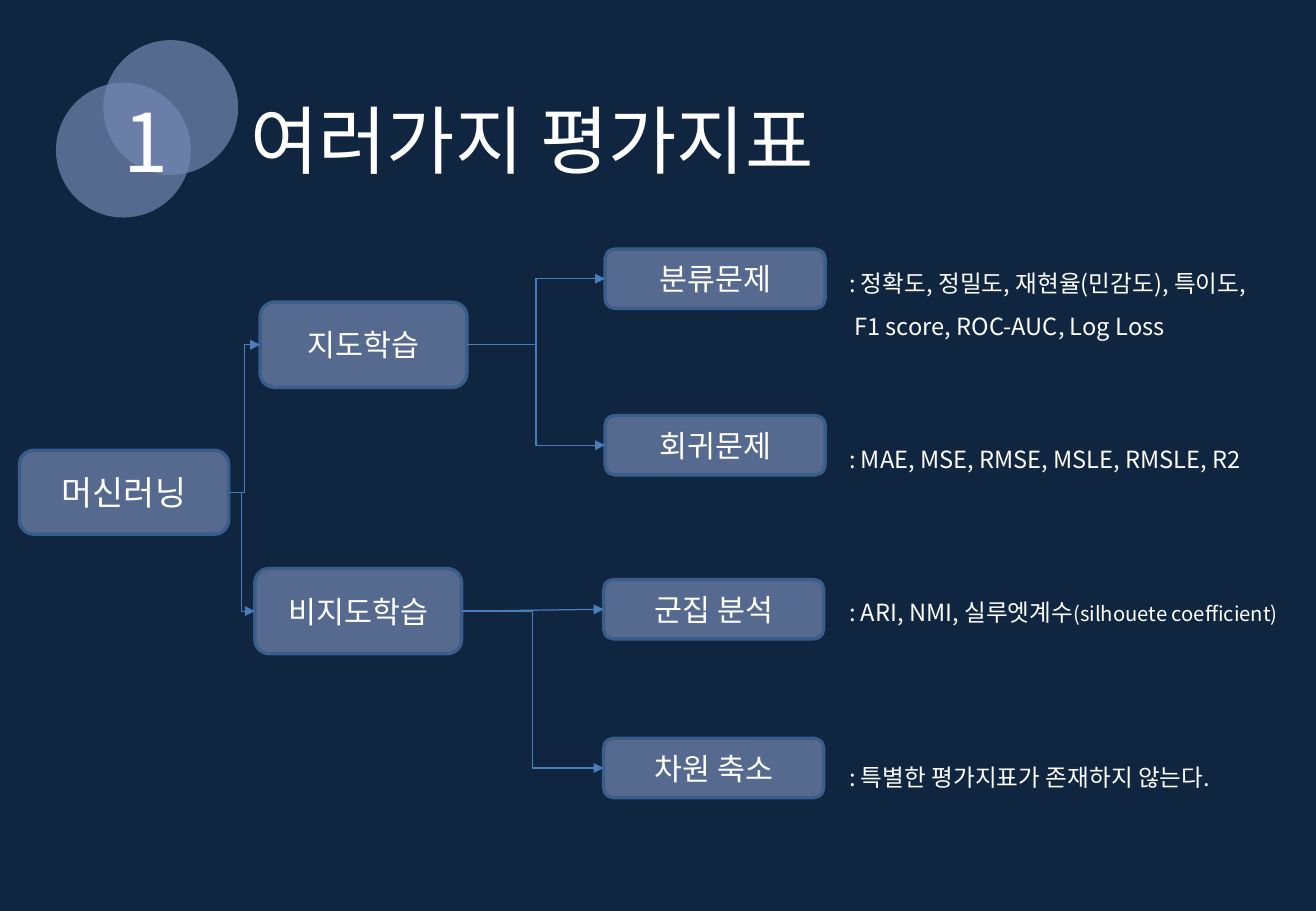
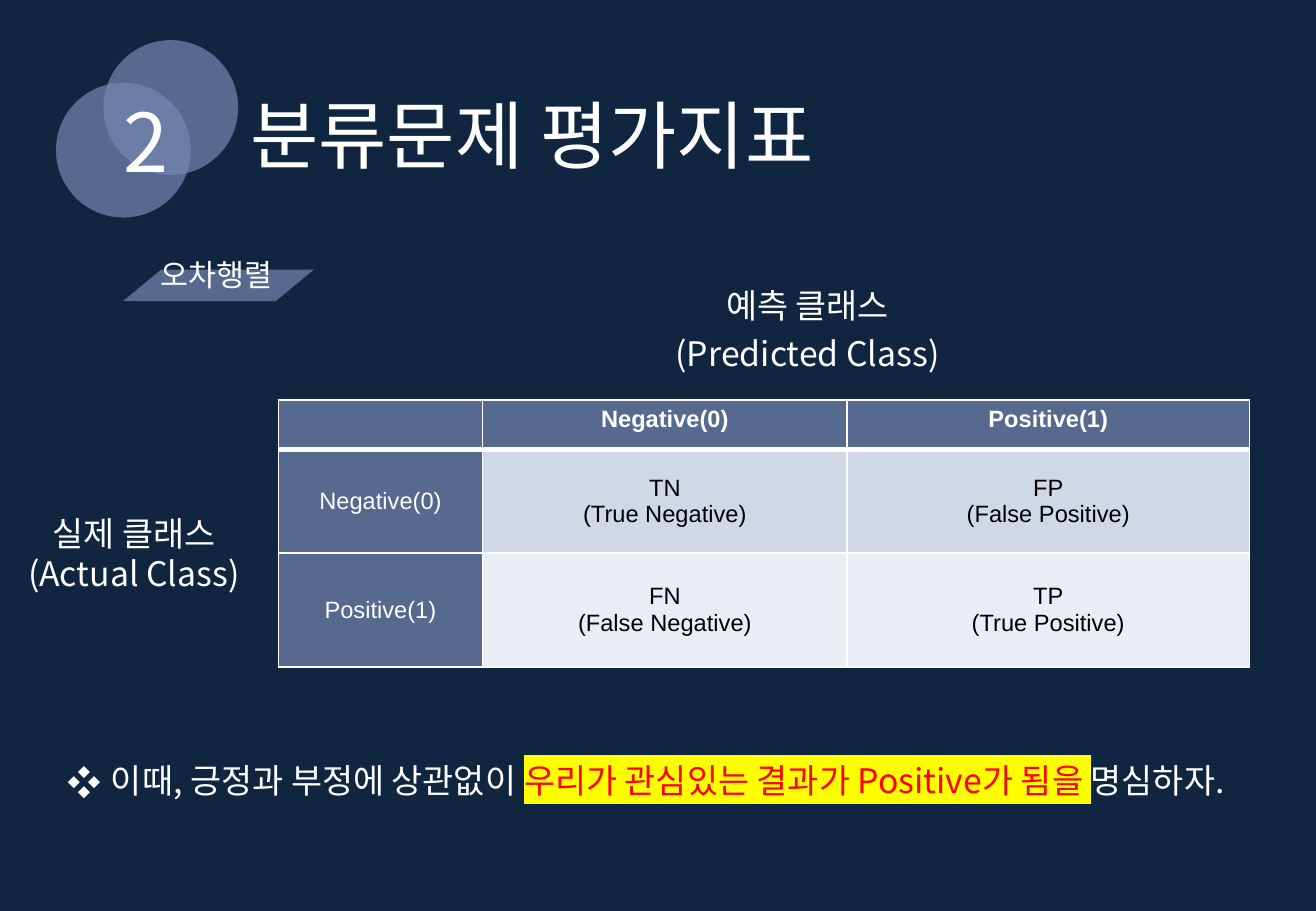
from lxml.etree import SubElement
from pptx import Presentation
from pptx.dml.color import RGBColor
from pptx.enum.shapes import MSO_CONNECTOR, MSO_SHAPE
from pptx.enum.text import MSO_ANCHOR, MSO_AUTO_SIZE, PP_ALIGN
from pptx.oxml.ns import qn
from pptx.util import Cm, Pt

# Shared style
FONT, TABLE_FONT = "Noto Sans CJK KR", "Arial"
NAVY, WHITE, BLACK = "10253F", "FFFFFF", "000000"
SLATE, SLATE_EDGE, PALE_SLATE = "566A90", "395E89", "7487B2"
ARROW, RED, YELLOW = "4A7DBA", "FF0000", "FFFF00"
HEADER_FILL, BAND_FILLS = "56698F", ("D0D8E8", "E9EDF4")
CIRCLES = [(2.16, 0.84), (1.17, 1.73)]
CIRCLE_SIZE = 2.82

# Slide 1: tree of learning types, (left, top, width, height) in cm
LEAF = (4.6, 1.24)
TOPICS = {
    "머신러닝": (0.41, 9.42, 4.37, 1.75),
    "지도학습": (5.44, 6.32, 4.32, 1.78),
    "비지도학습": (5.33, 11.89, 4.32, 1.78),
    "분류문제": (12.65, 5.21, *LEAF),
    "회귀문제": (12.65, 8.69, *LEAF),
    "군집 분석": (12.62, 12.12, *LEAF),
    "차원 축소": (12.62, 15.44, *LEAF),
}
ROOT = "머신러닝"
BRANCHES = [
    (ROOT, "지도학습", MSO_CONNECTOR.ELBOW),
    (ROOT, "비지도학습", MSO_CONNECTOR.ELBOW),
    ("지도학습", "분류문제", MSO_CONNECTOR.ELBOW),
    ("지도학습", "회귀문제", MSO_CONNECTOR.ELBOW),
    ("비지도학습", "군집 분석", MSO_CONNECTOR.STRAIGHT),
    ("비지도학습", "차원 축소", MSO_CONNECTOR.ELBOW),
]
# (top, width, paragraphs of (text, size) runs)
METRICS = [
    (5.21, 9.7, [[(": 정확도, 정밀도, 재현율(민감도), 특이도,", 14)],
                 [(" F1 score, ROC-AUC, Log Loss", 14)]]),
    (8.89, 9.7, [[(": MAE, MSE, RMSE, MSLE, RMSLE, R2", 14)]]),
    (12.09, 10, [[(": ARI, NMI, 실루엣계수", 14), ("(silhouete coefficient)", 12)]]),
    (15.54, 9.7, [[(": 특별한 평가지표가 존재하지 않는다.", 14)]]),
]

# Slide 2: confusion matrix
MATRIX = [
    ["", "Negative(0)", "Positive(1)"],
    ["Negative(0)", "TN\n(True Negative)", "FP\n(False Positive)"],
    ["Positive(1)", "FN\n(False Negative)", "TP\n(True Positive)"],
]
COLUMN_WIDTHS, ROW_HEIGHTS = (4.27, 7.62, 8.41), (1.04, 2.16, 2.39)
REMINDER = [
    ("이때, 긍정과 부정에 상관없이 ", False),
    ("우리가 관심있는 결과가 Positive가 됨을 ", True),
    ("명심하자.", False),
]


def rgb(color):
    return RGBColor.from_string(color)


def style_run(run, size, color=WHITE, font=FONT, bold=False):
    run.font.size, run.font.bold, run.font.name = Pt(size), bold, font
    run.font.color.rgb = rgb(color)
    SubElement(run.font._element, qn("a:ea"), typeface=font)


def style_frame(frame, size, align=None, **style):
    for paragraph in frame.paragraphs:
        paragraph.alignment = align
        for run in paragraph.runs:
            style_run(run, size, **style)


def add_text(slide, area, text="", size=18, align=None):
    frame = slide.shapes.add_textbox(*map(Cm, area)).text_frame
    frame.word_wrap = True
    frame.text = text
    style_frame(frame, size, align)
    return frame


def add_block(slide, preset, area, fill, edge=None, opacity=None):
    block = slide.shapes.add_shape(preset, *map(Cm, area))
    block.shadow.inherit = False
    block.fill.solid()
    block.fill.fore_color.rgb = rgb(fill)
    if opacity:
        tint = block.fill._xPr.find(f"{qn('a:solidFill')}/{qn('a:srgbClr')}")
        SubElement(tint, qn("a:alpha"), val=str(opacity * 1000))
    if edge:
        block.line.color.rgb = rgb(edge)
        block.line.width = Pt(2)
    else:
        block.line.fill.background()
    return block


def add_arrow(slide, kind, parent, child):
    arrow = slide.shapes.add_connector(kind, 0, 0, 0, 0)
    arrow.begin_connect(parent, 3)
    arrow.end_connect(child, 1)
    arrow.line.color.rgb = rgb(ARROW)
    arrow.line.width = Pt(0.75)
    SubElement(arrow.line._get_or_add_ln(), qn("a:tailEnd"), type="triangle")
    SubElement(arrow._element.spPr, qn("a:effectLst"))


def add_numbered_slide(deck, number, title, title_top):
    slide = deck.slides.add_slide(deck.slide_layouts[5])
    for left, top in CIRCLES:
        add_block(slide, MSO_SHAPE.FLOWCHART_CONNECTOR,
                  (left, top, CIRCLE_SIZE, CIRCLE_SIZE), PALE_SLATE, opacity=70)
    add_text(slide, (1.65, 1.8, CIRCLE_SIZE, 2.31), number, 48, PP_ALIGN.CENTER)
    heading = slide.shapes.title
    heading.left, heading.top, heading.width, heading.height = map(
        Cm, (4.98, title_top, 14.66, 2.13))
    frame = heading.text_frame
    frame.text = title
    frame.auto_size = MSO_AUTO_SIZE.NONE
    frame.vertical_anchor = MSO_ANCHOR.TOP
    style_frame(frame, 44, PP_ALIGN.LEFT)
    return slide


def set_borders(cell, widths):
    properties = cell._tc.get_or_add_tcPr()
    for index, (side, width) in enumerate(widths.items()):
        border = SubElement(properties, qn(f"a:ln{side}"), w=str(Pt(width)))
        fill = SubElement(border, qn("a:solidFill"))
        SubElement(fill, qn("a:srgbClr"), val=WHITE)
        properties.insert(index, border)


def add_matrix(slide):
    table = slide.shapes.add_table(
        len(ROW_HEIGHTS), len(COLUMN_WIDTHS), Cm(5.82), Cm(8.36),
        Cm(sum(COLUMN_WIDTHS)), Cm(sum(ROW_HEIGHTS))).table
    table.horz_banding = False
    for column, width in zip(table.columns, COLUMN_WIDTHS):
        column.width = Cm(width)
    for row, height in zip(table.rows, ROW_HEIGHTS):
        row.height = Cm(height)
    for r, labels in enumerate(MATRIX):
        for c, label in enumerate(labels):
            cell = table.cell(r, c)
            is_label = r == 0 or c == 0
            cell.text = label
            cell.vertical_anchor = MSO_ANCHOR.MIDDLE if r else MSO_ANCHOR.TOP
            style_frame(cell.text_frame, 14, PP_ALIGN.CENTER, font=TABLE_FONT,
                        color=WHITE if is_label else BLACK, bold=r == 0)
            cell.fill.solid()
            cell.fill.fore_color.rgb = rgb(HEADER_FILL if is_label else BAND_FILLS[r - 1])
            set_borders(cell, {"L": 1, "R": 1, "T": 3 if r == 1 else 1,
                               "B": 3 if r == 0 else 1})


def add_reminder(slide):
    paragraph = add_text(slide, (1.17, 15.77, 26.24, 1.12)).paragraphs[0]
    for text, is_key in REMINDER:
        run = paragraph.add_run()
        run.text = text
        style_run(run, 20, RED if is_key else WHITE)
        if is_key:
            properties = run.font._element
            highlight = SubElement(properties, qn("a:highlight"))
            SubElement(highlight, qn("a:srgbClr"), val=YELLOW)
            properties.find(qn("a:solidFill")).addnext(highlight)
    bulleted = paragraph._p.get_or_add_pPr()
    bulleted.set("marL", str(Cm(0.9)))
    bulleted.set("indent", str(-Cm(0.9)))
    SubElement(bulleted, qn("a:buFont"), typeface=FONT)
    SubElement(bulleted, qn("a:buChar"), char="❖")


def build_overview(deck):
    slide = add_numbered_slide(deck, "1", "여러가지 평가지표", 1.85)
    boxes = {}
    for topic, area in TOPICS.items():
        box = add_block(slide, MSO_SHAPE.ROUNDED_RECTANGLE, area, SLATE, SLATE_EDGE)
        box.text_frame.text = topic
        box.text_frame.vertical_anchor = MSO_ANCHOR.MIDDLE
        style_frame(box.text_frame, 20 if topic == ROOT else 18, PP_ALIGN.CENTER)
        boxes[topic] = box
    for parent, child, kind in BRANCHES:
        add_arrow(slide, kind, boxes[parent], boxes[child])
    for top, width, lines in METRICS:
        frame = add_text(slide, (17.5, top, width, 1.07 * len(lines)),
                         "\n".join("" for _ in lines))
        for paragraph, runs in zip(frame.paragraphs, lines):
            paragraph.line_spacing = 1.5
            for text, size in runs:
                run = paragraph.add_run()
                run.text = text
                style_run(run, size)


def build_confusion_matrix(deck):
    slide = add_numbered_slide(deck, "2", "분류문제 평가지표", 1.75)
    add_block(slide, MSO_SHAPE.FLOWCHART_DATA, (2.57, 5.64, 3.99, 0.66), SLATE)
    add_text(slide, (3.1, 5.23, 5.49, 1.02), "오차행렬")
    add_matrix(slide)
    predicted = add_text(slide, (12.63, 5.82, 8.51, 2.13),
                         "예측 클래스\n(Predicted Class)", 20, PP_ALIGN.CENTER)
    predicted.paragraphs[1].space_before = Pt(5)
    add_text(slide, (0.12, 10.59, 5.36, 1.96),
             "실제 클래스\n(Actual Class)", 20, PP_ALIGN.CENTER)
    add_reminder(slide)


def main():
    deck = Presentation()
    deck.slide_width, deck.slide_height = Cm(27.51), Cm(19.05)
    backdrop = deck.slide_master.background.fill
    backdrop.solid()
    backdrop.fore_color.rgb = rgb(NAVY)
    build_overview(deck)
    build_confusion_matrix(deck)
    deck.save("out.pptx")


if __name__ == "__main__":
    main()
